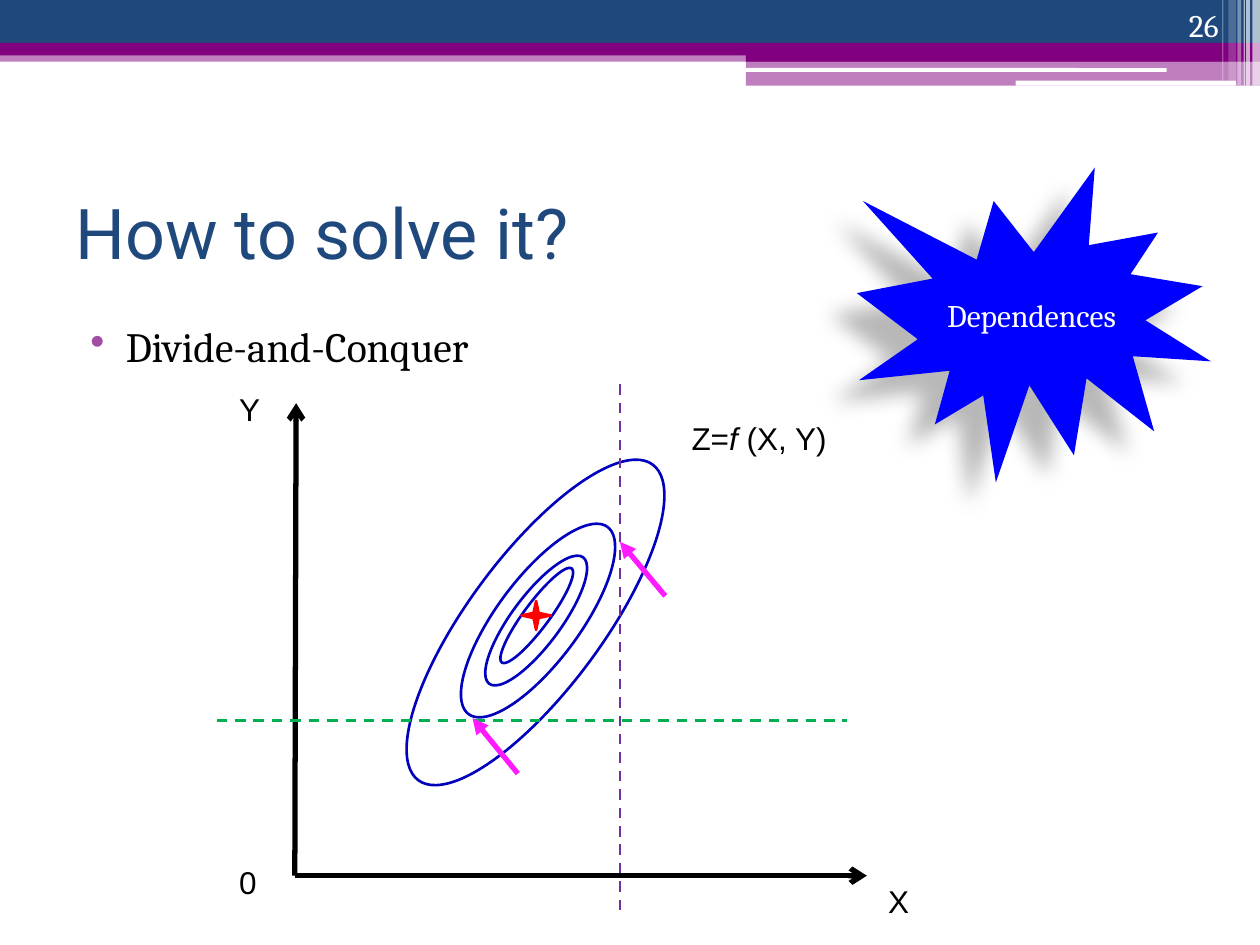
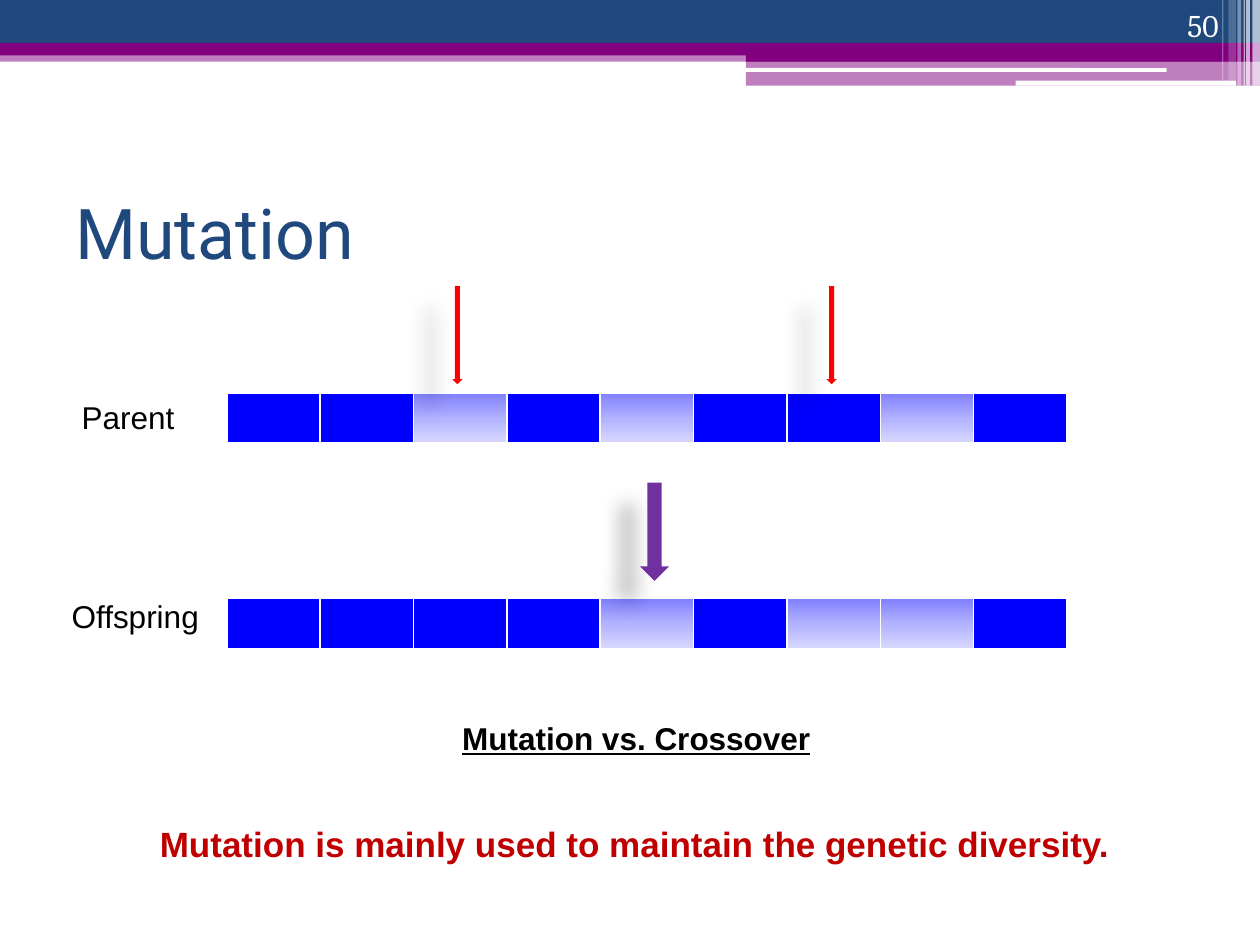
import pptx
import pptx.dml.color
import pptx.enum.dml
import pptx.enum.shapes
import pptx.enum.text
import pptx.oxml.ns
import pptx.util
from dataclasses import dataclass
from lxml import etree
from typing import Optional

SHAPE = pptx.enum.shapes.MSO_SHAPE
ALIGN = pptx.enum.text.PP_ALIGN
ANCHOR = pptx.enum.text.MSO_ANCHOR
WIDTH, HEIGHT = pptx.util.Inches(10), pptx.util.Inches(7.5)
COLUMN, ROW = WIDTH / 100, HEIGHT / 75

NAVY, PURPLE, WHITE, BLACK = "1F497D", "800080", "FFFFFF", "000000"
BLUE, RED, VIOLET, PINK = "0000FF", "FF0000", "7030A0", "FF1AFF"
CONTOUR, GREEN, DARK_RED, BULLET = "0000BD", "00B050", "C00000", "A04DA3"
GENE_STOPS = ((0, "8080FF"), (50, "B3B3FF"), (100, "DADAFF"))
GENE_COUNT = 9
CELL_BORDERS = (("lnL", 1), ("lnR", 1), ("lnT", 1), ("lnB", 3))


@dataclass(frozen=True)
class Area:
    left: float
    top: float
    width: float
    height: float

    def lengths(self) -> tuple[int, ...]:
        return (round(self.left * COLUMN), round(self.top * ROW),
                round(self.width * COLUMN), round(self.height * ROW))


@dataclass(frozen=True)
class Band:
    area: Area
    color: str
    opacity: int = 100
    kind: int = SHAPE.RECTANGLE


@dataclass(frozen=True)
class Style:
    size: float = 18
    font: str = "Arial"
    color: str = BLACK
    bold: bool = False
    underline: bool = False
    align: int = ALIGN.LEFT


@dataclass(frozen=True)
class Label:
    area: Area
    text: str
    style: Style = Style()
    anchor: int = ANCHOR.TOP
    wrap: bool = True


@dataclass(frozen=True)
class Stroke:
    start: tuple[float, float]
    end: tuple[float, float]
    color: str
    width: float
    head: Optional[str] = None
    dashed: bool = False


TITLE_STYLE = Style(40, "Roboto", NAVY)
NUMBER_STYLE = Style(18, "Cambria", WHITE, align=ALIGN.RIGHT)
BURST_STYLE = Style(18, "Cambria", WHITE, align=ALIGN.CENTER)

HEADER = (
    Band(Area(0, 4, 100, 0.9), PURPLE, 50),
    Band(Area(0, 0, 100, 3.4), NAVY),
    Band(Area(0, 3.4, 100, 1), PURPLE),
    Band(Area(59.2, 3.9, 40.8, 1), PURPLE),
    Band(Area(59.2, 4.8, 40.8, 2), PURPLE, 50),
    Band(Area(59.1, 5.4, 33.5, 0.3), WHITE, kind=SHAPE.ROUNDED_RECTANGLE),
    Band(Area(80.6, 6.4, 17.5, 0.4), WHITE, kind=SHAPE.ROUNDED_RECTANGLE),
    Band(Area(99.4, 0, 0.6, 6.8), WHITE, 65),
    Band(Area(98.9, 0, 0.3, 6.8), WHITE, 65),
    Band(Area(98.7, 0, 0.1, 6.8), WHITE, 60),
    Band(Area(98.2, 0, 0.3, 6.8), WHITE, 40),
    Band(Area(97.5, 0, 0.6, 6.4), WHITE, 20),
    Band(Area(97, 0, 0.1, 6.4), WHITE, 30),
)
CONTOURS = (
    Area(40.6, 43, 3.9, 12.5),
    Area(39.4, 40, 6.6, 18.5),
    Area(37.2, 33.8, 10.6, 31.2),
    Area(41.6, 44.2, 2, 9.3),
)
AXES = (
    Stroke((23.4, 69.5), (68.8, 69.5), BLACK, 3, "arrow"),
    Stroke((23.4, 69.5), (23.5, 32), BLACK, 3, "arrow"),
)
CUTS = (
    Stroke((17.2, 57.2), (67.2, 57.2), GREEN, 1.5, dashed=True),
    Stroke((49.2, 30.5), (49.2, 72.7), VIOLET, 1.5, dashed=True),
)
POINTERS = (
    Stroke((41.1, 61.4), (37.5, 57), PINK, 3, "triangle"),
    Stroke((52.8, 47.3), (49.2, 43), PINK, 3, "triangle"),
)
AXIS_LABELS = (
    Label(Area(69.5, 69.5, 4.7, 4), "X"),
    Label(Area(18, 30.5, 4.7, 4), "Y"),
    Label(Area(18, 68, 4.7, 4), "0"),
)
CHROMOSOMES = ((31.2, {2, 4, 7}), (47.5, {4, 6, 7}))
MUTATION_LABELS = (
    Label(Area(5.5, 31.1, 14.1, 4), "Parent"),
    Label(Area(4.7, 46.9, 12.9, 4), "Offspring", wrap=False),
    Label(Area(11.7, 64.8, 78.7, 4.4),
          "Mutation is mainly used to maintain the genetic diversity.",
          Style(20, color=DARK_RED, bold=True), wrap=False),
    Label(Area(35.7, 56.6, 29.9, 4), "Mutation vs. Crossover",
          Style(bold=True, underline=True), wrap=False),
)
DOWN_ARROWS = (
    Band(Area(35.9, 22.7, 0.8, 7.8), RED, kind=SHAPE.DOWN_ARROW),
    Band(Area(65.6, 22.7, 0.8, 7.8), RED, kind=SHAPE.DOWN_ARROW),
    Band(Area(50.8, 38.3, 2.3, 7.8), VIOLET, kind=SHAPE.DOWN_ARROW),
)


def rgb(color: str) -> pptx.dml.color.RGBColor:
    return pptx.dml.color.RGBColor.from_string(color)


def add_child(parent, tag: str, **attributes):
    child = etree.SubElement(parent, pptx.oxml.ns.qn(f"a:{tag}"))
    for name, value in attributes.items():
        child.set(name, str(value))
    return child


def add_band(page, band: Band):
    shape = page.shapes.add_shape(band.kind, *band.area.lengths())
    shape.shadow.inherit = False
    shape.line.fill.background()
    shape.fill.solid()
    shape.fill.fore_color.rgb = rgb(band.color)
    if band.opacity < 100:
        color = shape.element.spPr.find(pptx.oxml.ns.qn("a:solidFill"))[0]
        add_child(color, "alpha", val=band.opacity * 1000)
    return shape


def add_shadow(shape) -> None:
    effects = shape.element.spPr.find(pptx.oxml.ns.qn("a:effectLst"))
    shadow = add_child(effects, "outerShdw", blurRad=pptx.util.Pt(11.8),
                       dist=pptx.util.Pt(19.7), dir=141 * 60000, rotWithShape=0)
    color = add_child(shadow, "srgbClr", val=BLACK)
    add_child(color, "alpha", val=28000)


def set_font(para, style: Style) -> None:
    para.alignment = style.align
    para.font.size = pptx.util.Pt(style.size)
    para.font.name = style.font
    para.font.color.rgb = rgb(style.color)
    para.font.bold = style.bold
    para.font.underline = style.underline


def add_label(page, label: Label):
    box = page.shapes.add_textbox(*label.area.lengths())
    box.text_frame.word_wrap = label.wrap
    box.text_frame.vertical_anchor = label.anchor
    para = box.text_frame.paragraphs[0]
    if label.text:
        para.text = label.text
    set_font(para, label.style)
    return para


def add_stroke(page, stroke: Stroke) -> None:
    ends = (round(value * unit) for point in (stroke.start, stroke.end)
            for value, unit in zip(point, (COLUMN, ROW)))
    line = page.shapes.add_connector(pptx.enum.shapes.MSO_CONNECTOR.STRAIGHT, *ends)
    line.line.color.rgb = rgb(stroke.color)
    line.line.width = pptx.util.Pt(stroke.width)
    if stroke.dashed:
        line.line.dash_style = pptx.enum.dml.MSO_LINE.DASH
    if stroke.head:
        add_child(line.line._get_or_add_ln(), "tailEnd", type=stroke.head)
    add_child(line.element.spPr, "effectLst")


def add_contour(page, area: Area) -> None:
    ellipse = page.shapes.add_shape(SHAPE.OVAL, *area.lengths())
    ellipse.shadow.inherit = False
    ellipse.rotation = 36.6
    ellipse.fill.background()
    ellipse.line.color.rgb = rgb(CONTOUR)
    ellipse.line.width = pptx.util.Pt(1.5)


def add_bullet(page, text: str) -> None:
    para = add_label(page, Label(Area(5, 25, 90, 4.2), text))
    properties = para._p.get_or_add_pPr()
    properties.set("marL", str(pptx.util.Inches(0.4)))
    properties.set("indent", str(pptx.util.Inches(-0.28)))
    add_child(add_child(properties, "buClr"), "srgbClr", val=BULLET)
    add_child(properties, "buChar", char="•")
    set_font(para, Style(23.8, "Cambria"))


def add_formula(page) -> None:
    para = add_label(page, Label(Area(53.9, 32.8, 12.8, 4), "", wrap=False))
    for text, italic in (("Z=", False), ("f", True), (" (X, Y)", False)):
        span = para.add_run()
        span.text = text
        span.font.italic = italic


def add_burst(page, text: str) -> None:
    burst = add_band(page, Band(Area(68, 13.3, 28.1, 25), BLUE, kind=SHAPE.EXPLOSION1))
    add_shadow(burst)
    frame = burst.text_frame
    frame.margin_left = frame.margin_right = pptx.util.Inches(0.04)
    frame.vertical_anchor = ANCHOR.MIDDLE
    frame.paragraphs[0].text = text
    set_font(frame.paragraphs[0], BURST_STYLE)


def add_chromosome(page, top: float, light_genes: set[int]) -> None:
    area = Area(18, top, 66.7, 4.1)
    table = page.shapes.add_table(1, GENE_COUNT, *area.lengths()).table
    for index in range(GENE_COUNT):
        cell = table.cell(0, index)
        properties = cell._tc.get_or_add_tcPr()
        for side, width in CELL_BORDERS:
            border = add_child(properties, side, w=pptx.util.Pt(width))
            add_child(add_child(border, "solidFill"), "srgbClr", val=WHITE)
        if index in light_genes:
            gradient = add_child(properties, "gradFill", rotWithShape=1)
            stops = add_child(gradient, "gsLst")
            for position, color in GENE_STOPS:
                stop = add_child(stops, "gs", pos=position * 1000)
                add_child(stop, "srgbClr", val=color)
            add_child(gradient, "lin", ang=90 * 60000, scaled=0)
        else:
            cell.fill.solid()
            cell.fill.fore_color.rgb = rgb(BLUE)


def add_page(deck, title: str, number: int):
    page = deck.slides.add_slide(deck.slide_layouts[6])
    for band in HEADER:
        add_band(page, band)
    add_label(page, Label(Area(5, 12.5, 90, 11.7), title, TITLE_STYLE, ANCHOR.MIDDLE))
    add_label(page, Label(Area(89.4, 0, 8.3, 4), str(number), NUMBER_STYLE, ANCHOR.BOTTOM))
    return page


def build_divide_page(deck) -> None:
    page = add_page(deck, "How to solve it?", 26)
    add_bullet(page, "Divide-and-Conquer")
    add_burst(page, "Dependences")
    add_formula(page)
    for area in CONTOURS:
        add_contour(page, area)
    for label in AXIS_LABELS:
        add_label(page, label)
    for stroke in AXES + CUTS:
        add_stroke(page, stroke)
    star = add_band(page, Band(Area(41.4, 47.7, 2.3, 2.3), RED, kind=SHAPE.STAR_4_POINT))
    star.line.color.rgb = rgb(RED)
    star.line.width = pptx.util.Pt(1.5)
    for stroke in POINTERS:
        add_stroke(page, stroke)


def build_mutation_page(deck) -> None:
    page = add_page(deck, "Mutation", 50)
    for top, light_genes in CHROMOSOMES:
        add_chromosome(page, top, light_genes)
    for label in MUTATION_LABELS:
        add_label(page, label)
    for arrow in DOWN_ARROWS:
        add_shadow(add_band(page, arrow))


def main() -> None:
    deck = pptx.Presentation()
    deck.slide_width, deck.slide_height = WIDTH, HEIGHT
    build_divide_page(deck)
    build_mutation_page(deck)
    deck.save("out.pptx")


if __name__ == "__main__":
    main()
